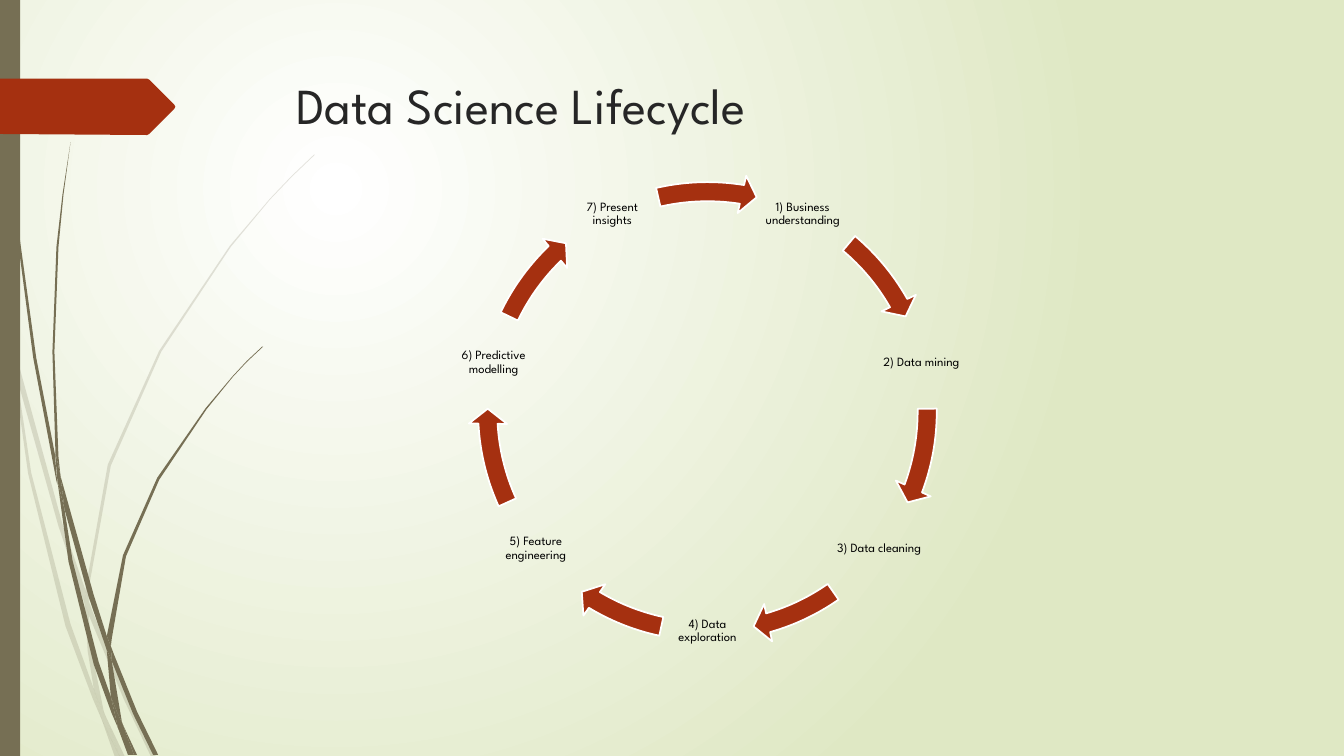
from math import cos, sin, radians

from lxml.etree import SubElement as Sub
from pptx import Presentation
from pptx.dml.color import RGBColor
from pptx.enum.shapes import MSO_SHAPE as Geo
from pptx.enum.text import MSO_ANCHOR as Anchor, MSO_AUTO_SIZE as Auto, PP_ALIGN as Align
from pptx.oxml.ns import qn
from pptx.util import Cm, Pt

WHITE = RGBColor(0xFF, 0xFF, 0xFF)
BLACK = RGBColor(0, 0, 0)
GREEN = RGBColor(0xDF, 0xE8, 0xC4)
OLIVE = RGBColor(0x76, 0x6F, 0x54)
RUST = RGBColor(0xA5, 0x30, 0x10)
INK = RGBColor(0x26, 0x26, 0x26)
FONT = "League Spartan"

# Cycle: centre, radius of the labels, side of a label, side of an arrow box
MID_X, MID_Y = 17.83, 10.37
RADIUS, LABEL, RING = 5.53, 2.31, 12.04

# Each step: label, then start and end angle of the arrow that follows it
STEPS = [
    ("1) Business understanding", 310.08, 330.46),
    ("2) Data mining", 359.28, 20.51),
    ("3) Data cleaning", 55.12, 73.97),
    ("4) Data exploration", 102.12, 120.97),
    ("5) Feature engineering", 155.58, 176.81),
    ("6) Predictive modelling", 205.63, 226.01),
    ("7) Present insights", 257.06, 279.03),
]

# Outlines as x, y pairs on a grid of 0.0254 cm
UNIT = Cm(0.0254)
PALE = [
    [(11, 350), (9, 322), (0, 282), (0, 299), (10, 344)],
    [(58, 522), (84, 599), (85, 586), (62, 520), (14, 345), (17, 376)],
    [(92, 607), (88, 596), (88, 610), (123, 694), (150, 751), (155, 751),
     (127, 692)],
    [(119, 751), (124, 751), (105, 711)],
    [(93, 683), (70, 619), (31, 469), (17, 376), (11, 350), (28, 470),
     (65, 621), (92, 693), (101, 714), (99, 707)],
    [(84, 599), (87, 646), (93, 683), (96, 692), (105, 711), (103, 706),
     (91, 646), (88, 610), (88, 608)],
    [(88, 584), (110, 462), (160, 349), (229, 245), (268, 198), (290, 175),
     (312, 154), (312, 153), (289, 175), (268, 197), (228, 244), (158, 348),
     (107, 461), (85, 584), (85, 586), (88, 596)],
    [(101, 714), (114, 751), (119, 751)],
    [(88, 608), (88, 610), (88, 596), (85, 586), (84, 599)],
    [(96, 692), (93, 683), (99, 707), (101, 714), (119, 751), (105, 711)],
]
DARK = [
    [(7, 110), (17, 233), (33, 355), (56, 477), (57, 481), (55, 457),
     (55, 453), (36, 355), (19, 232), (8, 109), (5, 48), (4, 0), (3, 0),
     (4, 48)],
    [(88, 592), (106, 645), (106, 633), (106, 631), (93, 590), (60, 472),
     (64, 505)],
    [(113, 649), (110, 641), (111, 656), (132, 708), (152, 749), (157, 749),
     (136, 706)],
    [(110, 691), (98, 657), (72, 556), (64, 505), (57, 477), (68, 557),
     (93, 659), (111, 708), (117, 722), (116, 717)],
    [(60, 472), (58, 453), (54, 349), (58, 245), (63, 193), (70, 141),
     (62, 193), (56, 245), (52, 349), (55, 449)],
    [(133, 749), (136, 749), (122, 719)],
    [(57, 477), (64, 505), (60, 472), (55, 449), (55, 453)],
    [(111, 633), (125, 552), (158, 476), (205, 406), (231, 374), (245, 359),
     (261, 344), (260, 344), (245, 358), (231, 373), (204, 405), (156, 474),
     (122, 551), (106, 631), (110, 641)],
    [(117, 722), (127, 749), (131, 749)],
    [(106, 645), (110, 691), (116, 706), (122, 719), (121, 716), (111, 656),
     (109, 651)],
    [(106, 645), (109, 651), (111, 656), (110, 641), (106, 631), (106, 633)],
    [(116, 706), (110, 691), (116, 717), (117, 722), (130, 749), (133, 749),
     (122, 719)],
]
FLAG = [(0, 78), (146, 78), (148, 79), (173, 104), (174, 106), (173, 108),
        (148, 133), (146, 134), (0, 133)]


def paint(shape, color, alpha=None):
    """Plain fill without line or shadow."""
    shape.shadow.inherit = False
    shape.fill.solid()
    shape.fill.fore_color.rgb = color
    shape.line.fill.background()
    if alpha:
        tone = next(shape.element.iter(qn("a:srgbClr")))
        Sub(tone, qn("a:alpha"), val=str(alpha * 1000))


def outline(shapes, points, color, alpha=None):
    form = shapes.build_freeform(*points[0], scale=UNIT)
    form.add_line_segments(points[1:], close=True)
    paint(form.convert_to_shape(), color, alpha)


def write(para, text, size, color):
    run = para.add_run()
    run.text = text
    run.font.name = FONT
    run.font.size = Pt(size)
    run.font.color.rgb = color


def backdrop(slide):
    """Glow from white, centred in the upper left quarter."""
    fill = slide.background.fill
    fill.gradient()
    for stop, color in zip(fill.gradient_stops, (WHITE, GREEN)):
        stop.color.rgb = color
    grad = next(slide.element.iter(qn("a:gradFill")))
    grad.remove(grad.find(qn("a:lin")))
    glow = Sub(grad, qn("a:path"), path="circle")
    Sub(glow, qn("a:fillToRect"), l="50000", t="50000", r="100000", b="100000")


def heading(slide, text):
    title = slide.shapes.title
    title.left, title.top = Cm(7.21), Cm(1.73)
    title.width, title.height = Cm(24.77), Cm(3.56)
    frame = title.text_frame
    frame.auto_size = Auto.NONE
    frame.vertical_anchor = Anchor.TOP
    para = frame.paragraphs[0]
    para.alignment = Align.LEFT
    write(para, text, 36, INK)


def label(shapes, text, angle):
    x = MID_X + RADIUS * sin(radians(angle)) - LABEL / 2
    y = MID_Y - RADIUS * cos(radians(angle)) - LABEL / 2
    frame = shapes.add_textbox(Cm(x), Cm(y), Cm(LABEL), Cm(LABEL)).text_frame
    frame.word_wrap = True
    frame.vertical_anchor = Anchor.MIDDLE
    frame.margin_left = frame.margin_right = Cm(0.03)
    frame.margin_top = frame.margin_bottom = Cm(0.03)
    para = frame.paragraphs[0]
    para.alignment = Align.CENTER
    para.line_spacing = 0.9
    para.space_after = Pt(3)
    write(para, text, 9, BLACK)


def arrow(shapes, start, end):
    ring = shapes.add_shape(Geo.CIRCULAR_ARROW, Cm(MID_X - RING / 2),
                            Cm(MID_Y - RING / 2), Cm(RING), Cm(RING))
    paint(ring, RUST)
    ring.line.color.rgb = WHITE
    ring.line.width = Pt(1.25)
    # Angles are stored in 60000ths of a degree, scaled by 100000
    sizes = (0.04, 2.35, end * 0.6, start * 0.6, 0.04)
    for i, size in enumerate(sizes):
        ring.adjustments[i] = size


def main():
    deck = Presentation()
    deck.slide_width, deck.slide_height = Cm(33.87), Cm(19.05)
    slide = deck.slides.add_slide(deck.slide_layouts[5])
    shapes = slide.shapes
    backdrop(slide)

    # Grass blades
    for blades, alpha in ((PALE, 20), (DARK, None)):
        group = shapes.add_group_shape()
        for points in blades:
            outline(group.shapes, points, OLIVE, alpha)

    # Side bar and flag
    bar = shapes.add_shape(Geo.RECTANGLE, 0, 0, Cm(0.51), Cm(19.05))
    paint(bar, OLIVE)
    outline(shapes, FLAG, RUST)

    heading(slide, "Data Science Lifecycle")

    # Cycle of steps
    cycle = shapes.add_group_shape().shapes
    for i, (text, start, end) in enumerate(STEPS):
        label(cycle, text, (i + 0.5) * 360 / len(STEPS))
        arrow(cycle, start, end)

    deck.save("out.pptx")


if __name__ == "__main__":
    main()
